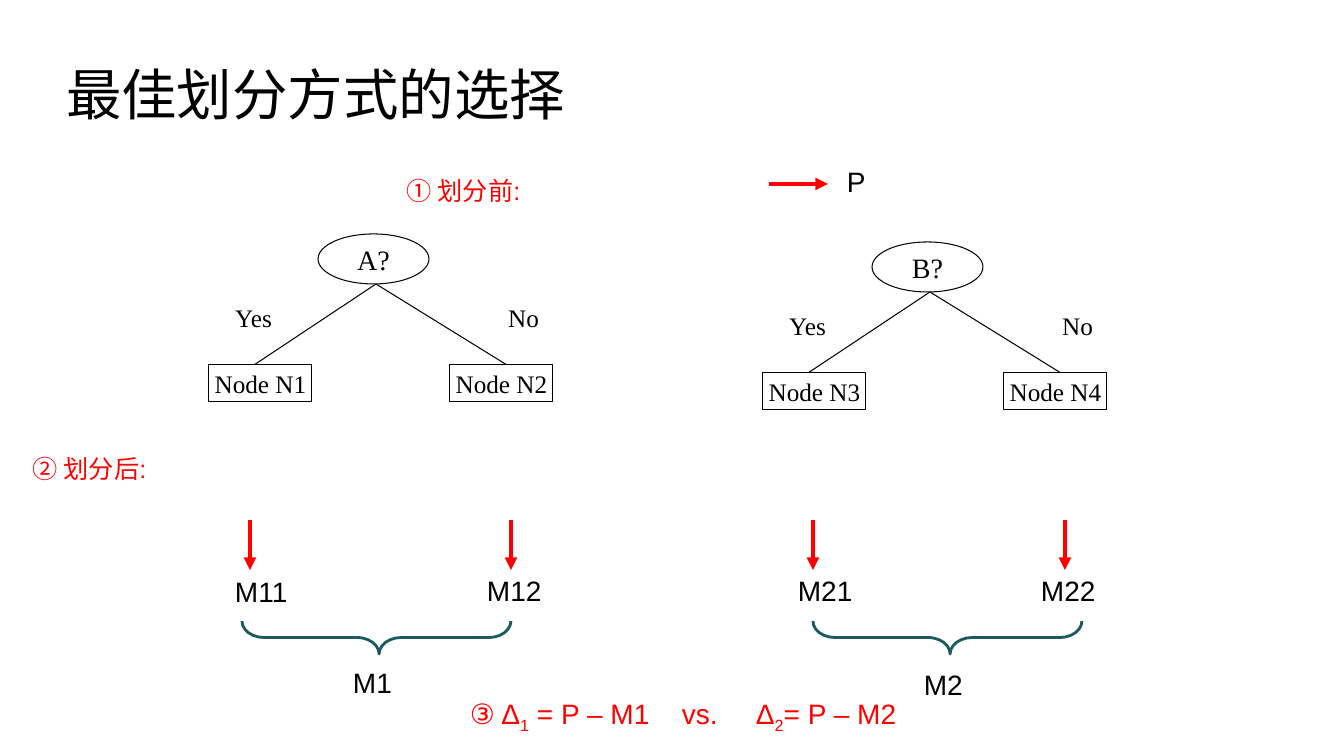
from lxml.etree import SubElement
from pptx import Presentation
from pptx.dml.color import RGBColor
from pptx.enum.shapes import MSO_CONNECTOR, MSO_SHAPE
from pptx.enum.text import MSO_ANCHOR, MSO_AUTO_SIZE, PP_ALIGN
from pptx.oxml.ns import qn
from pptx.util import Pt

PX = 914400 / 100.8
COLOURS = {name: RGBColor.from_string(value) for name, value in {
    "black": "000000", "white": "FFFFFF", "red": "FF0000", "teal": "1C5A61"}.items()}
CHINESE_FONT = "Noto Sans CJK SC"


def style_text(shape, size, colour="black", font="Arial"):
    for para in shape.text_frame.paragraphs:
        for run in para.runs:
            run.font.size = Pt(size)
            run.font.name = font
            run.font.color.rgb = COLOURS[colour]
            SubElement(run._r.get_or_add_rPr(), qn("a:ea"), typeface=CHINESE_FONT)


def draw_line(start, end, colour="black", width=0.75, arrow=False):
    ends = [round(value * PX) for value in (*start, *end)]
    line = page.shapes.add_connector(MSO_CONNECTOR.STRAIGHT, *ends)
    line.line.color.rgb = COLOURS[colour]
    line.line.width = Pt(width)
    if arrow:
        SubElement(line.line._get_or_add_ln(), qn("a:tailEnd"), type="triangle")
    SubElement(line._element.spPr, qn("a:effectLst"))


deck = Presentation()
deck.slide_width = round(1344 * PX)
deck.slide_height = round(756 * PX)
page = deck.slides.add_slide(deck.slide_layouts[5])

# Title
title = page.shapes.title
title.left, title.top, title.width, title.height = (
    round(value * PX) for value in (56, 69, 1217, 58))
title.text_frame.text = "最佳划分方式的选择"
title.text_frame.auto_size = MSO_AUTO_SIZE.NONE
title.text_frame.vertical_anchor = MSO_ANCHOR.MIDDLE
title.text_frame.paragraphs[0].alignment = PP_ALIGN.LEFT
title.text_frame.paragraphs[0].line_spacing = 0.9
style_text(title, 39.6, font=CHINESE_FONT)

# Decision trees
for tree_x, tree_y, question, left_node, right_node in [
    (209, 234, "A?", "Node N1", "Node N2"),
    (763, 242, "B?", "Node N3", "Node N4"),
]:
    for branch_x in (45, 298):
        draw_line((tree_x + 167, tree_y + 50), (tree_x + branch_x, tree_y + 131))
    for preset, x, y, width, height, text, size in [
        (MSO_SHAPE.OVAL, 109, 0, 111, 50, question, 20),
        (MSO_SHAPE.RECTANGLE, 0, 131, 103, 37, left_node, 18),
        (MSO_SHAPE.RECTANGLE, 241, 131, 103, 37, right_node, 18),
        (None, 15, 63, 59, 40, "Yes", 18),
        (None, 289, 63, 51, 40, "No", 18),
    ]:
        place = [round(value * PX) for value in (tree_x + x, tree_y + y, width, height)]
        if preset is None:
            box = page.shapes.add_textbox(*place)
        else:
            box = page.shapes.add_shape(preset, *place)
            box.shadow.inherit = False
            box.fill.solid()
            box.fill.fore_color.rgb = COLOURS["white"]
            box.line.color.rgb = COLOURS["black"]
            box.line.width = Pt(0.75)
        frame = box.text_frame
        frame.text = text
        frame.word_wrap = False
        frame.vertical_anchor = MSO_ANCHOR.MIDDLE
        frame.paragraphs[0].alignment = PP_ALIGN.CENTER
        style_text(box, size, font="Times New Roman")

# Arrows to the impurity measures
draw_line((769, 184), (828, 184), "red", 3, arrow=True)
for arrow_x in (250, 511, 813, 1065):
    draw_line((arrow_x, 520), (arrow_x, 570), "red", 3, arrow=True)

# Braces joining the measures of each split
for brace_x in (360, 931):
    brace = page.shapes.add_shape(
        MSO_SHAPE.LEFT_BRACE, *(round(value * PX) for value in (brace_x, 503, 33, 269)))
    brace.rotation = 270
    brace.adjustments[0] = 0.667
    brace.adjustments[1] = 0.51
    brace.shadow.inherit = False
    brace.fill.background()
    brace.line.color.rgb = COLOURS["teal"]
    brace.line.width = Pt(2)

# Step captions and measure names
for x, y, width, height, text, size, colour in [
    (397, 170, 167, 40, "① 划分前:", 18, "red"),
    (23, 448, 171, 40, "② 划分后:", 18, "red"),
    (837, 160, 76, 43, "P", 20, "black"),
    (225, 570, 76, 43, "M11", 20, "black"),
    (477, 569, 76, 43, "M12", 20, "black"),
    (788, 569, 76, 43, "M21", 20, "black"),
    (1031, 569, 76, 43, "M22", 20, "black"),
    (343, 661, 76, 43, "M1", 20, "black"),
    (914, 663, 76, 43, "M2", 20, "black"),
]:
    label = page.shapes.add_textbox(*(round(value * PX) for value in (x, y, width, height)))
    label.text_frame.word_wrap = True
    label.text_frame.text = text
    style_text(label, size, colour)

# Gain comparison
gain = page.shapes.add_textbox(*(round(value * PX) for value in (460, 692, 505, 44)))
gain.text_frame.word_wrap = True
para = gain.text_frame.paragraphs[0]
tabs = SubElement(para._p.get_or_add_pPr(), qn("a:tabLst"))
for stop in (212, 286):
    SubElement(tabs, qn("a:tab"), pos=str(round(stop * PX)), algn="l")
for text in ("③ Δ", "1", " = P – M1\tvs.\tΔ", "2", "= P – M2"):
    span = para.add_run()
    span.text = text
    if text.isdecimal():
        span._r.get_or_add_rPr().set("baseline", "-25000")
style_text(gain, 20, "red")

deck.save("out.pptx")
